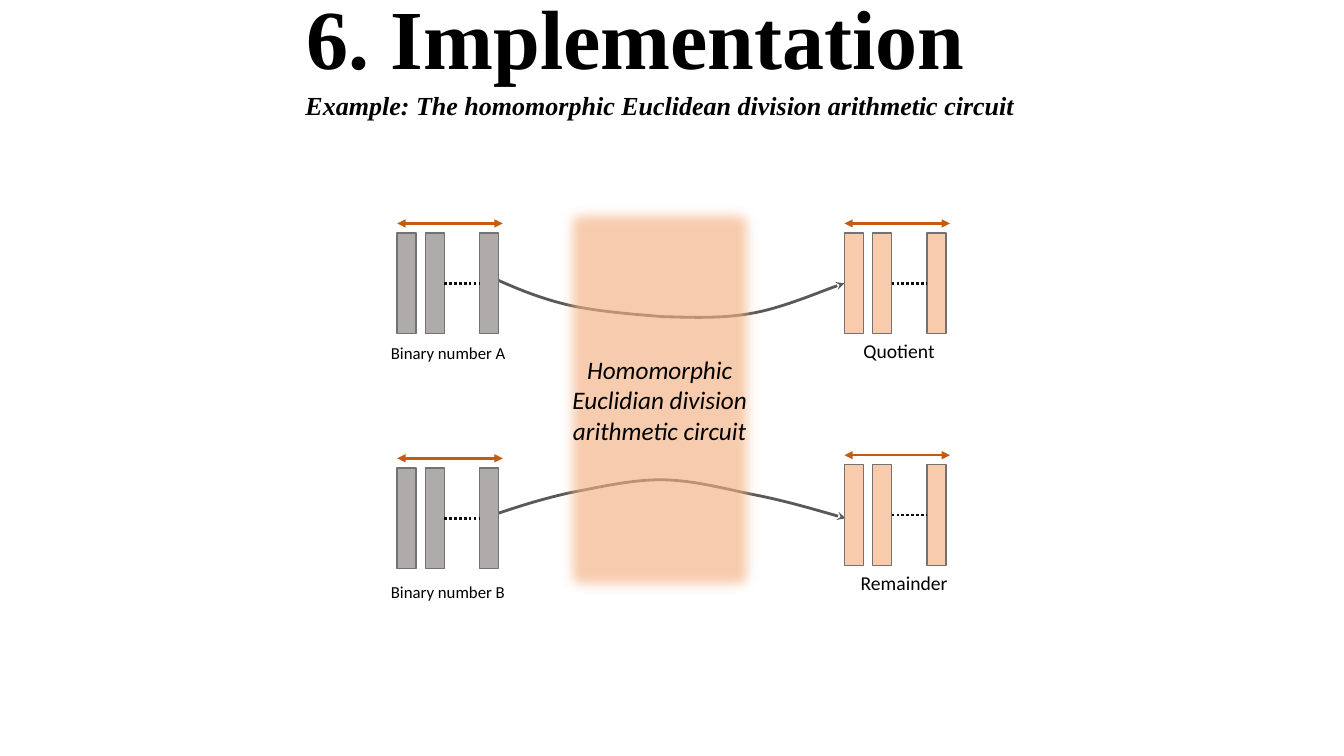
from lxml.etree import SubElement
from pptx import Presentation
from pptx.dml.color import RGBColor
from pptx.enum.dml import MSO_LINE
from pptx.enum.shapes import MSO_CONNECTOR, MSO_SHAPE
from pptx.enum.text import MSO_ANCHOR, PP_ALIGN
from pptx.oxml.ns import qn
from pptx.util import Cm, Pt

BLACK = RGBColor(0, 0, 0)
DOT_BLACK = RGBColor(0x0D, 0x0D, 0x0D)
INPUT_GREY = RGBColor(0xAF, 0xAB, 0xAB)
OUTPUT_PEACH = RGBColor(0xF8, 0xCB, 0xAD)
OUTLINE_GREY = RGBColor(0x76, 0x71, 0x71)
CIRCUIT_ORANGE = RGBColor(0xF4, 0xB1, 0x83)
SPAN_ORANGE = RGBColor(0xC5, 0x5A, 0x11)
FLOW_GREY = RGBColor(0x59, 0x59, 0x59)

TITLE = ("6. Implementation", (0, -0.33, 32.05, 2.67), 60, False, 0.9)
SUBTITLE = ("Example: The homomorphic Euclidean division arithmetic circuit",
            (6.98, 2.24, 19.3, 0.91), 18.6, True, 0.7)
CIRCUIT = ("Homomorphic Euclidian division arithmetic circuit",
           (13.97, 4.98, 5.31, 10.19))
NUMBERS = [
    ("Binary number A", (9.6, 8.51, 3.48, 0.76), 12, (10.01, 5.87), INPUT_GREY),
    ("Binary number B", (9.6, 14.53, 3.48, 0.76), 12, (10.01, 11.79), INPUT_GREY),
    ("Quotient", (21.51, 8.41, 2.39, 0.86), 14, (21.28, 5.87), OUTPUT_PEACH),
    ("Remainder", (21.44, 14.25, 2.97, 0.86), 14, (21.28, 11.71), OUTPUT_PEACH),
]
FLOWS = [
    [(12.55, 7.06), (13.13, 7.32), (13.69, 7.54), (14.38, 7.7),
     (15.09, 7.85), (15.95, 7.92), (16.71, 7.98),
     (17.48, 8), (18.16, 8.03), (18.92, 7.9),
     (19.69, 7.77), (20.88, 7.26), (21.28, 7.14)],
    [(12.57, 12.93), (13.11, 12.75), (13.67, 12.57), (14.35, 12.42),
     (15.04, 12.29), (15.88, 12.09), (16.64, 12.09),
     (17.4, 12.09), (18.16, 12.29), (18.92, 12.45),
     (19.71, 12.6), (20.5, 12.83), (21.31, 13.06)],
]
BAR_OFFSETS = (0, 0.71, 2.08)
BAR_WIDTH, BAR_HEIGHT = 0.48, 2.54
SPAN_LENGTH, SPAN_GAP = 2.66, 0.24

prs = Presentation()
prs.slide_width, prs.slide_height = Cm(33.87), Cm(19.05)
shapes = prs.slides.add_slide(prs.slide_layouts[6]).shapes


def cms(values):
    return [Cm(value) for value in values]


def write(owner, text, size, font_name, anchor, align, bold=None, italic=None):
    frame = owner.text_frame
    frame.word_wrap = True
    frame.vertical_anchor = anchor
    paragraph = frame.paragraphs[0]
    paragraph.text = text
    paragraph.alignment = align
    font = paragraph.font
    font.name, font.size = font_name, Pt(size)
    font.bold, font.italic = bold, italic
    font.color.rgb = BLACK
    return paragraph


def add_heading(text, box, size, italic, spacing):
    heading = write(shapes.add_textbox(*cms(box)), text, size, "Times New Roman",
                    MSO_ANCHOR.BOTTOM, PP_ALIGN.CENTER, True, italic)
    heading.line_spacing = spacing


def add_rectangle(box, color):
    rectangle = shapes.add_shape(MSO_SHAPE.RECTANGLE, *cms(box))
    rectangle.shadow.inherit = False
    rectangle.fill.solid()
    rectangle.fill.fore_color.rgb = color
    return rectangle


def set_line(line, color, width):
    line.color.rgb = color
    line.width = Pt(width)


def add_arrowhead(line, end, kind):
    SubElement(line._get_or_add_ln(), qn(f"a:{end}"), type=kind)


def add_line(left, right, y, color):
    connector = shapes.add_connector(MSO_CONNECTOR.STRAIGHT, *cms((left, y, right, y)))
    set_line(connector.line, color, 1.75)
    SubElement(connector._element.spPr, qn("a:effectLst"))
    return connector.line


def add_flow(points):
    start, *rest = [cms(point) for point in points]
    builder = shapes.build_freeform(*start)
    builder.add_line_segments(rest, close=False)
    flow = builder.convert_to_shape()
    flow.shadow.inherit = False
    flow.fill.background()
    set_line(flow.line, FLOW_GREY, 2)
    add_arrowhead(flow.line, "tailEnd", "stealth")
    segments = list(flow._element.iter(qn("a:lnTo")))
    outline = segments[0].getparent()
    for first in range(0, len(segments), 3):
        curve = SubElement(outline, qn("a:cubicBezTo"))
        for segment in segments[first:first + 3]:
            curve.append(segment[0])
            outline.remove(segment)


def add_circuit(text, box):
    circuit = add_rectangle(box, CIRCUIT_ORANGE)
    circuit.line.fill.background()
    properties = circuit._element.spPr
    color = properties.find(qn("a:solidFill"))[0]
    SubElement(color, qn("a:alpha"), val="65000")
    SubElement(properties.find(qn("a:effectLst")), qn("a:softEdge"), rad="127000")
    write(circuit, text, 18, "Calibri", MSO_ANCHOR.MIDDLE, PP_ALIGN.CENTER, italic=True)


def add_number(label, label_box, size, corner, color):
    left, top = corner
    for offset in BAR_OFFSETS:
        bar = add_rectangle((left + offset, top, BAR_WIDTH, BAR_HEIGHT), color)
        set_line(bar.line, OUTLINE_GREY, 1)
    dots = add_line(left + BAR_OFFSETS[1] + BAR_WIDTH, left + BAR_OFFSETS[2],
                    top + BAR_HEIGHT / 2, DOT_BLACK)
    dots.dash_style = MSO_LINE.ROUND_DOT
    span = add_line(left, left + SPAN_LENGTH, top - SPAN_GAP, SPAN_ORANGE)
    for end in ("headEnd", "tailEnd"):
        add_arrowhead(span, end, "triangle")
    write(shapes.add_textbox(*cms(label_box)), label, size, "Calibri",
          MSO_ANCHOR.TOP, PP_ALIGN.LEFT)


for flow_points in FLOWS:
    add_flow(flow_points)
add_circuit(*CIRCUIT)
for number in NUMBERS:
    add_number(*number)
add_heading(*TITLE)
add_heading(*SUBTITLE)

prs.save("out.pptx")
